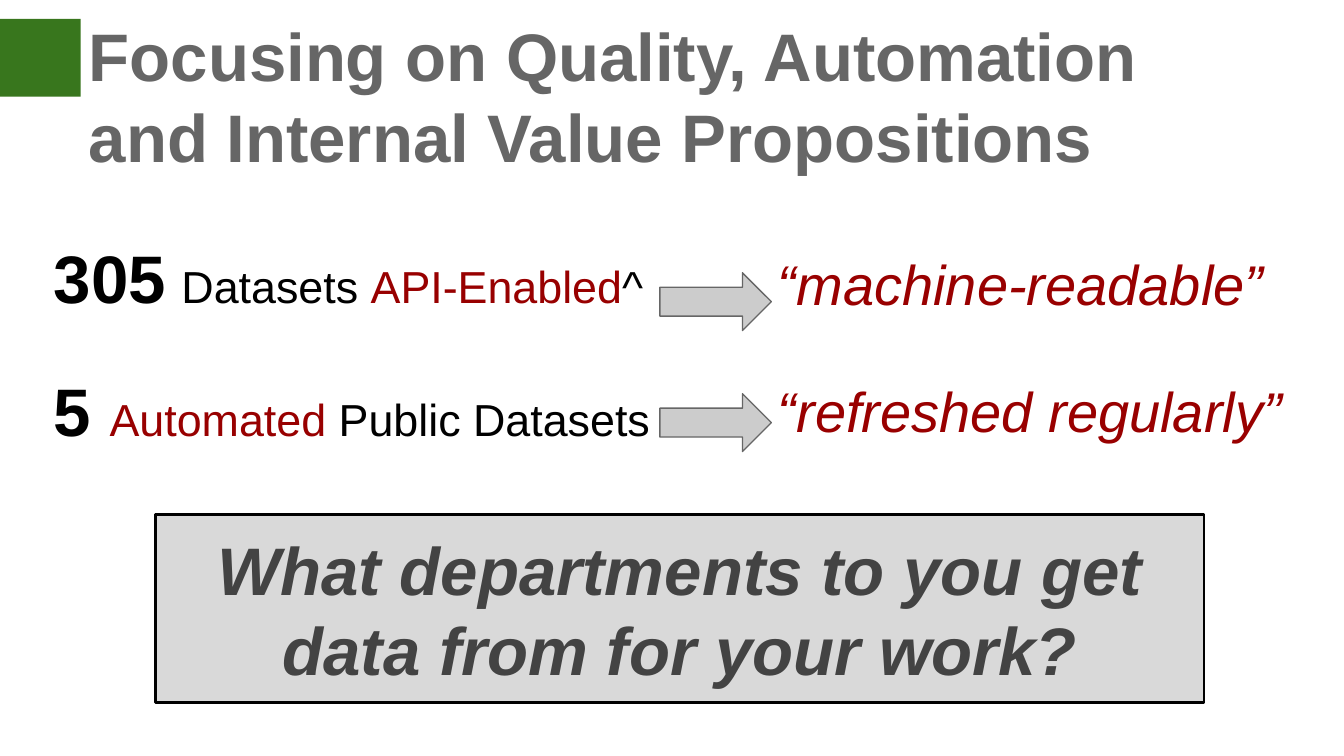
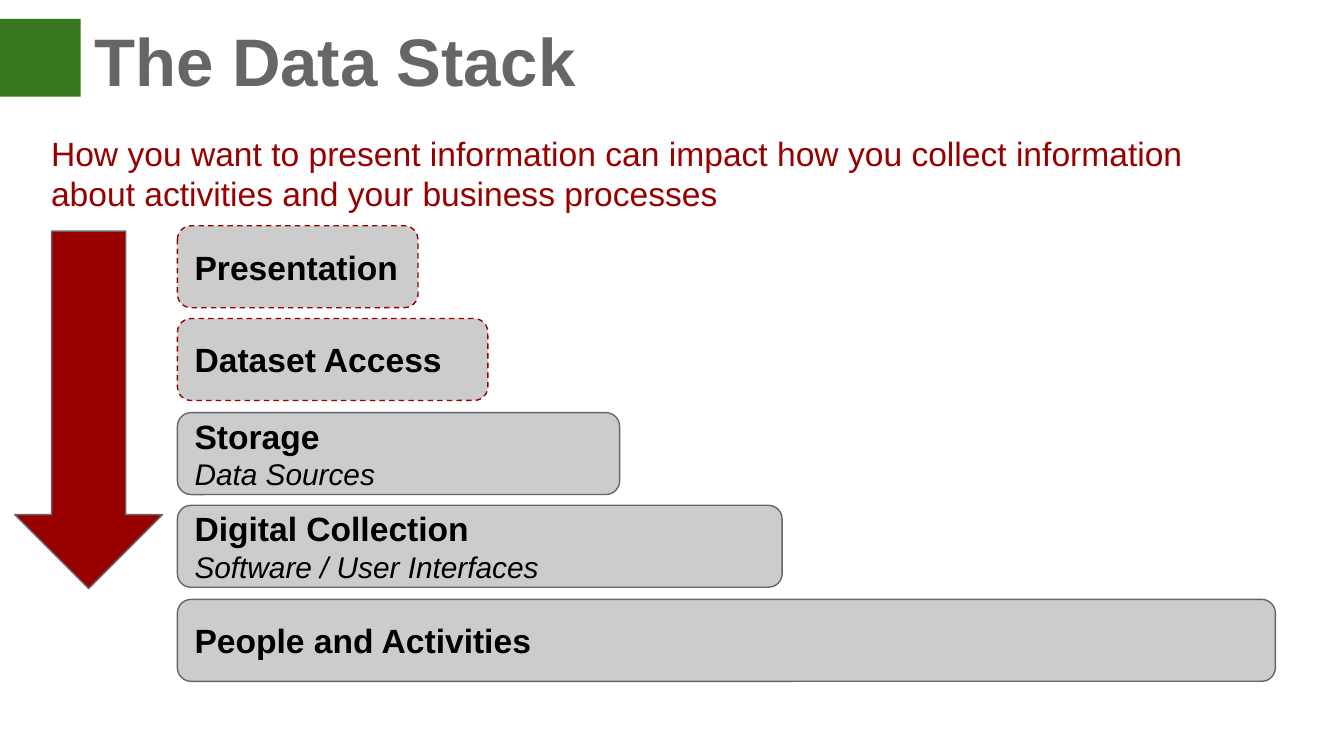
import pptx
import pptx.util
import pptx.dml.color
import pptx.enum.dml
import pptx.enum.shapes
import pptx.enum.text
import pptx.oxml.ns
from lxml import etree

RGBColor = pptx.dml.color.RGBColor
SHAPES = pptx.enum.shapes.MSO_SHAPE
ANCHOR = pptx.enum.text.MSO_ANCHOR
ALIGN = pptx.enum.text.PP_ALIGN

GREEN = RGBColor(0x38, 0x76, 0x1D)
RED = RGBColor(0x98, 0x00, 0x00)
QUOTE_RED = RGBColor(0x99, 0x00, 0x00)
BLACK = RGBColor(0x00, 0x00, 0x00)
DARK_GRAY = RGBColor(0x43, 0x43, 0x43)
GRAY = RGBColor(0x66, 0x66, 0x66)
LIGHT_GRAY = RGBColor(0xCC, 0xCC, 0xCC)
PALE_GRAY = RGBColor(0xD9, 0xD9, 0xD9)

FONT = "Arial"
EMU_PER_PX = 9144  # 100 px to the inch
INSET = 10


def px(n):
    return pptx.util.Emu(n * EMU_PER_PX)


def run(text, size, color=BLACK, bold=False, italic=False):
    return text, size, color, bold, italic


def write(sp, lines, anchor=ANCHOR.TOP, align=ALIGN.LEFT):
    """Fill a shape with one paragraph; each line is a list of runs."""
    tf = sp.text_frame
    tf.word_wrap = True
    tf.auto_size = pptx.enum.text.MSO_AUTO_SIZE.NONE
    tf.vertical_anchor = anchor
    tf.margin_left = tf.margin_right = px(INSET)
    tf.margin_top = tf.margin_bottom = px(INSET)
    p = tf.paragraphs[0]
    p.alignment = align
    p.space_before = pptx.util.Pt(0)
    for i, line in enumerate(lines):
        if i:
            p.add_line_break()
        for text, size, color, bold, italic in line:
            r = p.add_run()
            r.text = text
            r.font.name = FONT
            r.font.size = pptx.util.Pt(size)
            r.font.color.rgb = color
            r.font.bold = bold
            r.font.italic = italic


def place(sp, x, y, w, h):
    sp.left, sp.top, sp.width, sp.height = px(x), px(y), px(w), px(h)


def add_title(s, box, *lines):
    place(s.shapes.title, *box)
    write(s.shapes.title, [[run(line, 36, GRAY, bold=True)] for line in lines])


def add_body(s, box, runs):
    sp = s.placeholders[1]
    place(sp, *box)
    # Plain text: no bullet and no hanging indent
    pPr = sp.text_frame.paragraphs[0]._p.get_or_add_pPr()
    pPr.set("marL", "0")
    pPr.set("indent", "0")
    etree.SubElement(pPr, pptx.oxml.ns.qn("a:buNone"))
    write(sp, [runs])


def add_text(s, box, runs):
    sp = s.shapes.add_textbox(*map(px, box))
    write(sp, [runs], ANCHOR.MIDDLE)


def add_shape(s, kind, box, fill, line=None, width=0.75, dashed=False):
    sp = s.shapes.add_shape(kind, *map(px, box))
    sp.shadow.inherit = False
    sp.fill.solid()
    sp.fill.fore_color.rgb = fill
    if line is None:
        sp.line.fill.background()
    else:
        sp.line.color.rgb = line
        sp.line.width = pptx.util.Pt(width)
    if dashed:
        sp.line.dash_style = pptx.enum.dml.MSO_LINE.DASH
    return sp


def add_layout_band(s):
    """Put the green title marker on the layout that the slides share."""
    band = add_shape(s, SHAPES.RECTANGLE, (-3, 14, 63, 58), GREEN)
    s.slide_layout.shapes.element.append(band.element)


def add_layer(s, y, width, name, detail, dashed):
    sp = add_shape(s, SHAPES.ROUNDED_RECTANGLE, (132, y, width, 61),
                   LIGHT_GRAY, RED if dashed else GRAY, dashed=dashed)
    lines = [[run(name, 18, bold=True)]]
    if detail:
        lines.append([run(detail, 16, italic=True)])
    write(sp, lines, ANCHOR.MIDDLE)


def build_value_slide(s):
    add_title(s, (56, 1, 900, 94),
              "Focusing on Quality, Automation", "and Internal Value Propositions")

    # Dataset counts
    add_body(s, (30, 166, 460, 76), [
        run("305", 36, bold=True), run(" ", 30), run("Datasets ", 24),
        run("API-Enabled", 24, RED), run("^", 24)])
    add_text(s, (30, 258, 575, 94), [
        run("5 ", 36, bold=True), run("Automated", 24, RED),
        run(" Public Datasets", 24)])

    # What each count means
    for quote, y, w, arrow_y in (("“machine-readable”", 164, 421, 203),
                                 ("“refreshed regularly”", 258, 407, 293)):
        add_text(s, (569, y, w, 94), [run(quote, 30, QUOTE_RED, italic=True)])
        add_shape(s, SHAPES.RIGHT_ARROW, (491, arrow_y, 83, 43), LIGHT_GRAY, GRAY)

    # Question to the audience
    sp = add_shape(s, SHAPES.RECTANGLE, (116, 383, 780, 140), PALE_GRAY, BLACK, 1.5)
    question = "What departments to you get data from for your work?"
    write(sp, [[run(question, 36, DARK_GRAY, True, True)]], align=ALIGN.CENTER)


def build_stack_slide(s):
    add_title(s, (60, 4, 851, 77), "The Data Stack")
    add_body(s, (28, 89, 914, 61), [
        run("How you want to present information can impact how you collect "
            "information about activities and your business processes", 18, RED)])

    # Layers from top to bottom: width, name, detail, dashed outline
    layers = [
        (179, "Presentation", None, True),
        (231, "Dataset Access", None, True),
        (329, "Storage", "Data Sources", False),
        (450, "Digital Collection", "Software / User Interfaces", False),
        (817, "People and Activities", None, False),
    ]
    top, bottom = 168, 446
    for i, layer in enumerate(layers):
        add_layer(s, top + i * (bottom - top) // (len(layers) - 1), *layer)

    add_shape(s, SHAPES.DOWN_ARROW, (11, 172, 110, 266), RED, GRAY)


def main():
    prs = pptx.Presentation()
    prs.slide_width = px(1000)
    prs.slide_height = prs.slide_width * 9 // 16
    layout = prs.slide_layouts[1]
    value_slide = prs.slides.add_slide(layout)
    stack_slide = prs.slides.add_slide(layout)
    add_layout_band(value_slide)
    build_value_slide(value_slide)
    build_stack_slide(stack_slide)
    prs.save("out.pptx")


if __name__ == "__main__":
    main()
